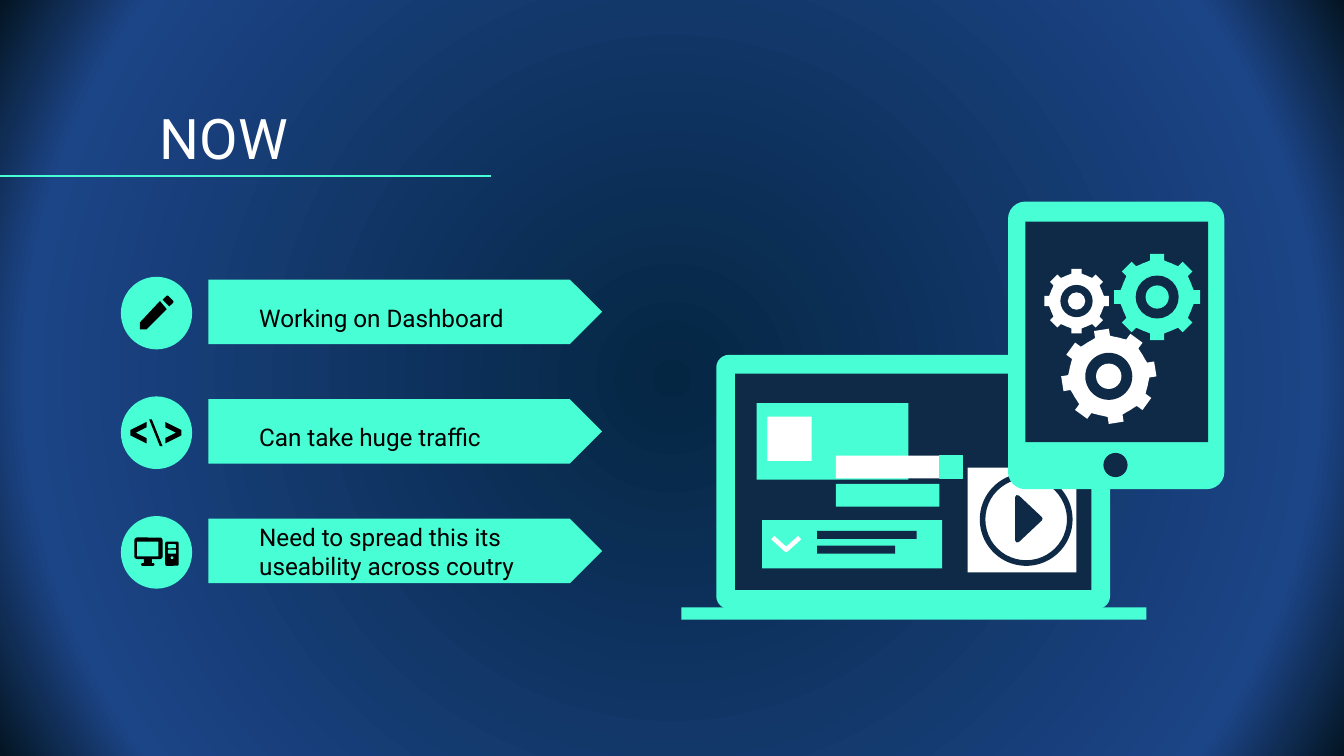
import math
import pptx
import pptx.dml.color
import pptx.enum.shapes
import pptx.enum.text
import pptx.oxml
import pptx.oxml.ns
import pptx.util

Inches = pptx.util.Inches
RGB = pptx.dml.color.RGBColor
KIND = pptx.enum.shapes.MSO_SHAPE

MINT = RGB(0x48, 0xFF, 0xD5)
NAVY = RGB(0x0E, 0x2A, 0x47)
WHITE = RGB(0xFF, 0xFF, 0xFF)
BLACK = RGB(0, 0, 0)
GLOW = [(0, "052643"), (84, "1C4587"), (100, "041523")]


def paint(shape, fill):
    shape.shadow.inherit = False
    shape.fill.solid()
    shape.fill.fore_color.rgb = fill
    shape.line.fill.background()
    return shape


def block(slide, x, y, w, h, fill, kind=KIND.RECTANGLE, adj=None):
    shape = slide.shapes.add_shape(kind, Inches(x), Inches(y), Inches(w), Inches(h))
    if adj is not None:
        shape.adjustments[0] = adj
    return paint(shape, fill)


def disc(slide, x, y, r, fill):
    """Draw a circle around the centre x, y."""
    return block(slide, x - r, y - r, 2 * r, 2 * r, fill, KIND.OVAL)


def outline(slide, x, y, paths, fill, close=True):
    """Draw one freeform from point lists relative to x, y."""
    paths = [[(Inches(x + a), Inches(y + b)) for a, b in path] for path in paths]
    form = slide.shapes.build_freeform(*paths[0][0])
    for i, path in enumerate(paths):
        if i:
            form.move_to(*path[0])
        form.add_line_segments(path[1:], close=close)
    return paint(form.convert_to_shape(), fill)


def stroke(shape, color, width):
    shape.line.color.rgb = color
    shape.line.width = pptx.util.Pt(width)


def write(slide, x, y, w, h, text, size, color):
    frame = slide.shapes.add_textbox(Inches(x), Inches(y), Inches(w), Inches(h)).text_frame
    frame.word_wrap = True
    frame.vertical_anchor = pptx.enum.text.MSO_ANCHOR.BOTTOM
    frame.margin_left = frame.margin_right = Inches(0.1)
    frame.margin_top = frame.margin_bottom = Inches(0.1)
    para = frame.paragraphs[0]
    para.text = text
    para.font.size = pptx.util.Pt(size)
    para.font.name = "Roboto"
    para.font.color.rgb = color


def backdrop(slide):
    slide.background.fill.gradient()
    grad = slide.element.find(".//" + pptx.oxml.ns.qn("a:gradFill"))
    stops = "".join(f'<a:gs pos="{pos * 1000}"><a:srgbClr val="{color}"/></a:gs>'
                    for pos, color in GLOW)
    new = pptx.oxml.parse_xml(
        f'<a:gradFill {pptx.oxml.ns.nsdecls("a")} rotWithShape="1"><a:gsLst>{stops}</a:gsLst>'
        '<a:path path="circle"><a:fillToRect l="50000" t="50000" r="50000" b="50000"/>'
        '</a:path></a:gradFill>')
    grad.getparent().replace(grad, new)


def heading(slide, x, y):
    write(slide, x + 1.09, y, 8.57, 0.66, "NOW", 30, WHITE)
    rule = slide.shapes.add_connector(pptx.enum.shapes.MSO_CONNECTOR.STRAIGHT, Inches(x),
                                      Inches(y + 0.6), Inches(x + 3.65), Inches(y + 0.6))
    stroke(rule, MINT, 0.75)
    props = rule._element.spPr
    props.append(props.makeelement(pptx.oxml.ns.qn("a:effectLst"), {}))


def pencil(slide, x, y):
    tip = [(0.2, 0), (0.17, 0.03), (0.22, 0.08), (0.25, 0.05), (0.25, 0.04), (0.21, 0)]
    body = [(0.15, 0.04), (0, 0.2), (0, 0.25), (0.05, 0.25), (0.2, 0.1)]
    outline(slide, x + 0.14, y + 0.14, [tip, body], BLACK)


def code(slide, x, y):
    left = [(0.12, 0.18), (0, 0.12), (0, 0.08), (0.12, 0.02),
            (0.12, 0.06), (0.04, 0.1), (0.12, 0.14)]
    slash = [(0.22, 0.2), (0.14, 0), (0.16, 0), (0.24, 0.2)]
    right = [(0.38 - a, b) for a, b in left]
    for path in (left, slash, right):
        outline(slide, x + 0.07, y + 0.17, [path], BLACK)


def desktop(slide, x, y):
    soft = KIND.ROUNDED_RECTANGLE
    block(slide, x + 0.1, y + 0.16, 0.21, 0.16, BLACK, soft, 0.12)
    block(slide, x + 0.12, y + 0.19, 0.16, 0.11, MINT)
    block(slide, x + 0.17, y + 0.32, 0.06, 0.04, BLACK)
    block(slide, x + 0.15, y + 0.35, 0.1, 0.02, BLACK, soft, 0.5)
    block(slide, x + 0.33, y + 0.19, 0.1, 0.18, BLACK, soft, 0.12)
    for top in (0.21, 0.25):
        block(slide, x + 0.35, y + top, 0.06, 0.03, MINT, soft, 0.2)
    disc(slide, x + 0.38, y + 0.31, 0.01, MINT)


def item(slide, x, y, text, drop, icon):
    """Draw a round icon with an arrow label; drop is the top of the text box."""
    block(slide, x + 0.65, y + 0.02, 2.93, 0.48, MINT, KIND.PENTAGON, 0.5)
    write(slide, x + 0.93, y + drop, 2.61, 0.25, text, 13, BLACK)
    block(slide, x, y, 0.53, 0.54, MINT, KIND.OVAL)
    icon(slide, x, y)


def laptop(slide, x, y):
    def part(left, top, w, h, fill, *style):
        return block(slide, x + left, y + top, w, h, fill, *style)

    part(0.26, 0, 2.93, 1.89, MINT, KIND.ROUNDED_RECTANGLE, 0.05)
    part(0.4, 0.14, 2.65, 1.61, NAVY)
    part(0, 1.88, 3.46, 0.09, MINT)
    part(0.56, 0.36, 1.13, 0.57, MINT)
    part(0.64, 0.46, 0.33, 0.33, WHITE)
    part(0.6, 1.23, 1.34, 0.36, MINT)
    part(1.01, 1.31, 0.74, 0.06, NAVY)
    part(1.01, 1.42, 0.58, 0.06, NAVY)
    check = outline(slide, x + 0.68, y + 1.36, [[(0, 0), (0.1, 0.09), (0.2, 0)]], WHITE, False)
    check.fill.background()
    stroke(check, WHITE, 2.5)
    part(1.15, 0.96, 0.77, 0.17, MINT)
    part(1.15, 0.75, 0.77, 0.17, WHITE)
    stroke(part(1.92, 0.75, 0.17, 0.17, MINT), MINT, 0.75)
    part(2.13, 0.84, 0.81, 0.78, WHITE)
    part(2.22, 0.88, 0.69, 0.69, NAVY, KIND.DONUT, 0.06)
    play = outline(slide, x + 2.5, y + 1.06, [[(0, 0), (0.17, 0.16), (0, 0.32)]], NAVY)
    stroke(play, NAVY, 2.5)


def gear(slide, x, y, r, fill, turn=0):
    """Draw an eight-toothed gear around the centre x, y."""
    rim, half = 0.85 * r, 0.16 * r
    path = []
    for tooth in range(8):
        angle = math.radians(turn + 45 * tooth)
        cos, sin = math.cos(angle), math.sin(angle)
        path += [(a * cos - b * sin, a * sin + b * cos)
                 for a, b in [(rim, -half), (r, -half), (r, half), (rim, half)]]
        for step in (17, 22.5, 28):
            bend = angle + math.radians(step)
            path.append((rim * math.cos(bend), rim * math.sin(bend)))
    outline(slide, x, y, [path], fill)
    disc(slide, x, y, 0.5 * r, NAVY)
    disc(slide, x, y, 0.27 * r, fill)


def tablet(slide, x, y):
    block(slide, x, y, 1.61, 2.14, MINT, KIND.ROUNDED_RECTANGLE, 0.08)
    block(slide, x + 0.13, y + 0.15, 1.36, 1.64, NAVY)
    disc(slide, x + 0.8, y + 1.96, 0.09, NAVY)
    gear(slide, x + 1.11, y + 0.71, 0.32, MINT)
    gear(slide, x + 0.51, y + 0.74, 0.24, WHITE)
    gear(slide, x + 0.75, y + 1.3, 0.35, WHITE, -9)


def main():
    deck = pptx.Presentation()
    deck.slide_width = Inches(10)
    deck.slide_height = deck.slide_width * 9 // 16
    slide = deck.slides.add_slide(deck.slide_layouts[6])
    backdrop(slide)
    heading(slide, 0, 0.71)
    items = [("Working on Dashboard", 0.26, pencil),
             ("Can take huge traffic", 0.26, code),
             ("Need to spread this its useability across coutry", 0.33, desktop)]
    for row, (text, drop, icon) in enumerate(items):
        item(slide, 0.9, 2.06 + 0.89 * row, text, drop, icon)
    laptop(slide, 5.07, 2.64)
    tablet(slide, 7.5, 1.5)
    deck.save("out.pptx")


if __name__ == "__main__":
    main()
